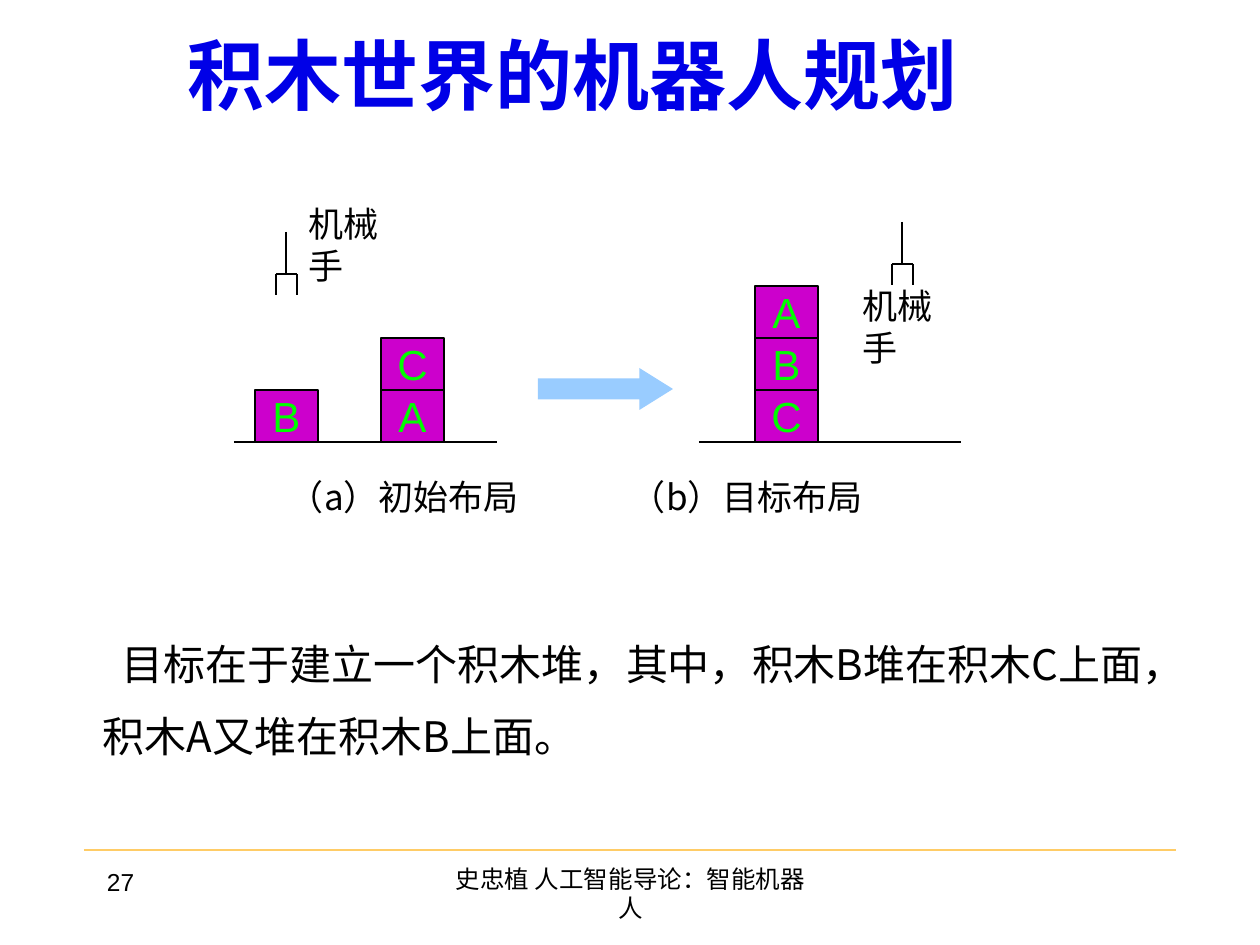
from dataclasses import dataclass

from lxml import etree
from pptx import Presentation
from pptx.dml.color import RGBColor
from pptx.enum.shapes import MSO_CONNECTOR, MSO_SHAPE
from pptx.enum.text import MSO_ANCHOR as Anchor, PP_ALIGN as Align
from pptx.oxml.ns import qn
from pptx.util import Emu, Pt

PX_PER_INCH = 126


def px(length: int) -> Emu:
    return Emu(round(length * 914400 / PX_PER_INCH))


@dataclass(frozen=True)
class Theme:
    black: str = "000000"
    title_blue: str = "0000E7"
    block_fill: str = "CC00CC"
    block_letter: str = "00FF00"
    arrow_fill: str = "99CCFF"
    rule: str = "FFCC66"
    latin: str = "Arial"
    chinese: str = "Noto Sans CJK SC"
    title_size: int = 44
    body_size: int = 24
    label_size: int = 20
    footer_size: int = 14
    thin: float = 0.75
    thick: float = 1.5


@dataclass(frozen=True)
class Box:
    left: int
    top: int
    width: int
    height: int


@dataclass(frozen=True)
class Insets:
    left: int = 13
    top: int = 6
    right: int = 13
    bottom: int = 6


@dataclass(frozen=True)
class Scene:
    floor: tuple[int, int]
    towers: dict[int, str]  # left edge -> letters from the floor up
    hand: tuple[int, int]
    label: Box


THEME = Theme()
LABEL_INSETS = Insets(top=2)
FLOOR_Y, BLOCK_WIDTH, BLOCK_HEIGHT = 442, 63, 52
STEM, FINGER, HALF_GRIP = 42, 21, 10

SCENES = [
    Scene((234, 497), {255: "B", 381: "AC"}, (286, 232), Box(295, 200, 130, 55)),
    Scene((699, 961), {755: "CBA"}, (902, 222), Box(849, 282, 130, 55)),
]


def color(value: str) -> RGBColor:
    return RGBColor.from_string(value)


def set_text(shape, text: str, size: int, ink: str = THEME.black,
             latin: str = THEME.latin, align: Align = Align.LEFT,
             anchor: Anchor = Anchor.TOP, insets: Insets = Insets(),
             wrap: bool = True, bold: bool = False):
    frame = shape.text_frame
    frame.word_wrap = wrap
    frame.vertical_anchor = anchor
    frame.margin_left, frame.margin_top = px(insets.left), px(insets.top)
    frame.margin_right, frame.margin_bottom = px(insets.right), px(insets.bottom)
    frame.text = text
    paragraph = frame.paragraphs[0]
    paragraph.alignment = align
    for run in paragraph.runs:
        run.font.size, run.font.bold = Pt(size), bold
        run.font.name = latin
        run.font.color.rgb = color(ink)
        east_asian = etree.SubElement(run.font._element, qn("a:ea"))
        east_asian.set("typeface", THEME.chinese)
    return paragraph


def add_text(slide, box: Box, text: str, size: int, **style):
    shape = slide.shapes.add_textbox(
        px(box.left), px(box.top), px(box.width), px(box.height))
    return set_text(shape, text, size, **style)


def add_filled(slide, kind: MSO_SHAPE, box: Box, fill: str):
    shape = slide.shapes.add_shape(
        kind, px(box.left), px(box.top), px(box.width), px(box.height))
    shape.shadow.inherit = False
    shape.fill.solid()
    shape.fill.fore_color.rgb = color(fill)
    return shape


def add_line(slide, x1: int, y1: int, x2: int, y2: int,
             ink: str = THEME.black, width: float = THEME.thin) -> None:
    line = slide.shapes.add_connector(
        MSO_CONNECTOR.STRAIGHT, px(x1), px(y1), px(x2), px(y2))
    line.line.color.rgb = color(ink)
    line.line.width = Pt(width)
    etree.SubElement(line._element.spPr, qn("a:effectLst"))


def add_block(slide, left: int, level: int, letter: str) -> None:
    top = FLOOR_Y - (level + 1) * BLOCK_HEIGHT
    block = add_filled(slide, MSO_SHAPE.RECTANGLE,
                       Box(left, top, BLOCK_WIDTH, BLOCK_HEIGHT), THEME.block_fill)
    block.line.color.rgb = color(THEME.black)
    block.line.width = Pt(THEME.thin)
    set_text(block, letter, THEME.body_size, THEME.block_letter,
             align=Align.CENTER, anchor=Anchor.MIDDLE, wrap=False)


def add_hand(slide, x: int, top: int) -> None:
    palm = top + STEM
    left, right = x - HALF_GRIP, x + HALF_GRIP + 1
    add_line(slide, x, top, x, palm)
    add_line(slide, left, palm, right, palm)
    for finger in (left, right):
        add_line(slide, finger, palm, finger, palm + FINGER)


def add_scene(slide, scene: Scene) -> None:
    for left, letters in scene.towers.items():
        for level, letter in enumerate(letters):
            add_block(slide, left, level, letter)
    start, end = scene.floor
    add_line(slide, start, FLOOR_Y, end, FLOOR_Y)
    add_hand(slide, *scene.hand)
    add_text(slide, scene.label, "机械手", THEME.label_size,
             insets=LABEL_INSETS, wrap=False)


def add_caption(slide) -> None:
    paragraph = add_text(slide, Box(276, 474, 703, 55), "（a）初始布局\t（b）目标布局",
                         THEME.label_size, latin=THEME.chinese, insets=LABEL_INSETS)
    tabs = etree.SubElement(paragraph._p.get_or_add_pPr(), qn("a:tabLst"))
    etree.SubElement(tabs, qn("a:tab"), pos=str(px(342)), algn="l")


def add_goal(slide) -> None:
    paragraph = add_text(
        slide, Box(42, 557, 1187, 210),
        "目标在于建立一个积木堆，其中，积木B堆在积木C上面，积木A又堆在积木B上面。",
        THEME.body_size, latin=THEME.chinese, insets=Insets(top=60, right=60))
    paragraph.line_spacing = Pt(41)
    properties = paragraph._p.get_or_add_pPr()
    properties.set("marL", str(px(48)))
    properties.set("indent", str(px(19)))


def main() -> None:
    presentation = Presentation()
    presentation.slide_width, presentation.slide_height = px(1260), px(945)
    slide = presentation.slides.add_slide(presentation.slide_layouts[6])

    # Title
    add_text(slide, Box(74, 0, 998, 147), "积木世界的机器人规划", THEME.title_size,
             ink=THEME.title_blue, latin=THEME.chinese, align=Align.CENTER,
             anchor=Anchor.MIDDLE, bold=True)

    # Start and goal layouts, with the arrow between them
    for scene in SCENES:
        add_scene(slide, scene)
    arrow = add_filled(slide, MSO_SHAPE.RIGHT_ARROW, Box(538, 368, 135, 42),
                       THEME.arrow_fill)
    arrow.adjustments[0], arrow.adjustments[1] = 0.5, 0.8
    arrow.line.fill.background()
    add_caption(slide)

    # Explanation
    add_goal(slide)

    # Footer
    add_line(slide, 84, 850, 1176, 850, THEME.rule, THEME.thick)
    add_text(slide, Box(94, 861, 262, 63), "27", THEME.footer_size)
    add_text(slide, Box(431, 861, 399, 63), "史忠植 人工智能导论：智能机器人",
             THEME.footer_size, align=Align.CENTER, insets=Insets(top=3))

    presentation.save("out.pptx")


if __name__ == "__main__":
    main()
